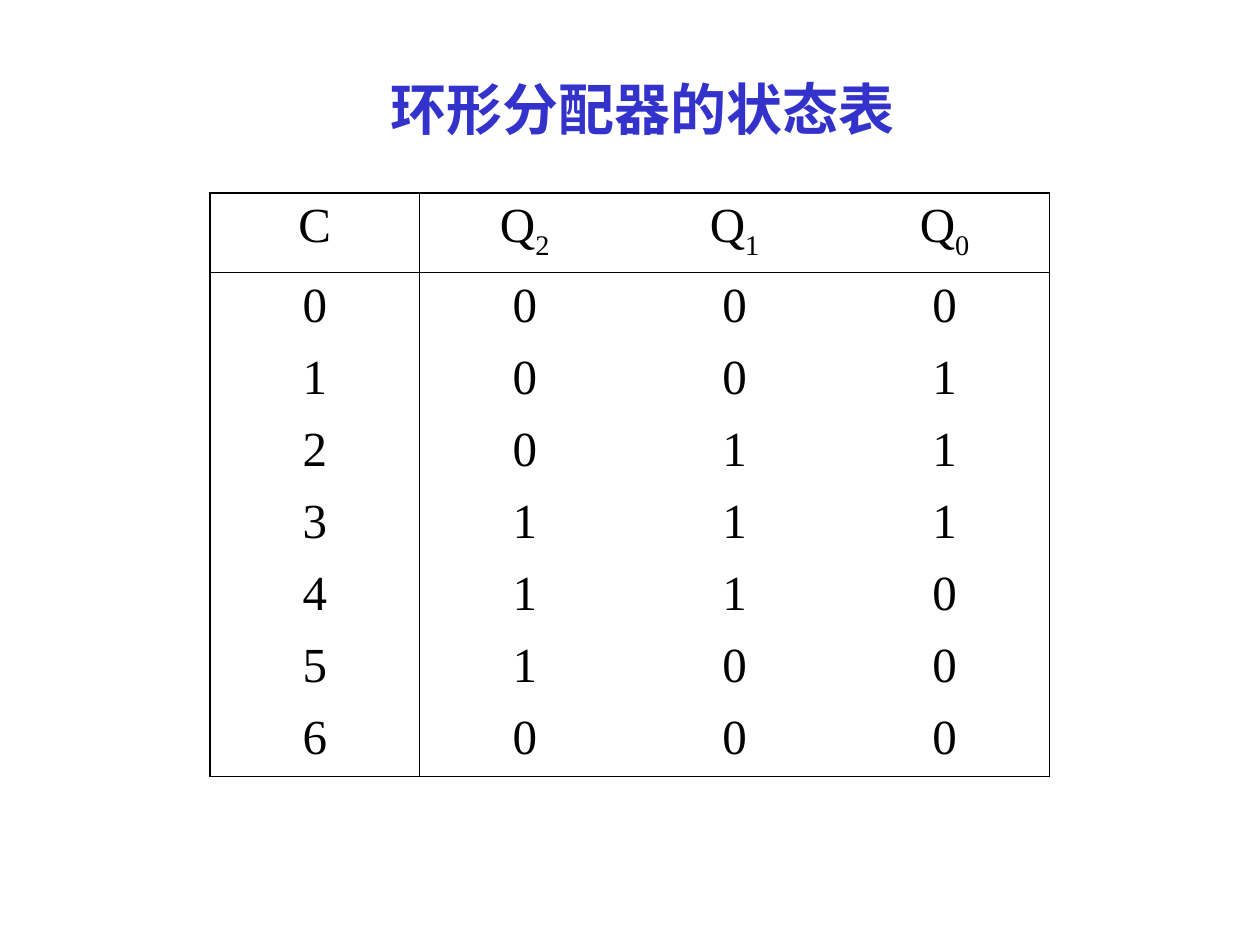
import pptx
import pptx.dml.color
import pptx.enum.text
import pptx.oxml.ns
import pptx.util
from lxml import etree

Cm, Pt = pptx.util.Cm, pptx.util.Pt
BLUE = pptx.dml.color.RGBColor(0x33, 0x33, 0xCC)
BLACK = pptx.dml.color.RGBColor(0, 0, 0)
FONT = "Times New Roman"
OUTER, INNER = Pt(1.08), Pt(0.45)

# Each heading is a letter and its subscript
HEADINGS = [("C", ""), ("Q", "2"), ("Q", "1"), ("Q", "0")]
STATES = ["000", "001", "011", "111", "110", "100", "000"]


def add_run(paragraph, text, size, color, bold=False):
    run = paragraph.add_run()
    run.text = text
    run.font.name = FONT
    run.font.size = Pt(size)
    run.font.bold = bold
    run.font.color.rgb = color
    return run


def set_borders(cell, widths):
    """Draw the left, right, top and bottom edges; None leaves an edge out."""
    properties = cell._tc.get_or_add_tcPr()
    qn = pptx.oxml.ns.qn
    for side, width in zip("LRTB", widths):
        edge = etree.SubElement(properties, qn(f"a:ln{side}"))
        if width is None:
            etree.SubElement(edge, qn("a:noFill"))
        else:
            edge.set("w", str(int(width)))
            fill = etree.SubElement(edge, qn("a:solidFill"))
            etree.SubElement(fill, qn("a:srgbClr"), val=str(BLACK))


def add_title(slide, left, top, width, height):
    title = slide.shapes.add_textbox(left, top, width, height).text_frame
    title.word_wrap = True
    add_run(title.paragraphs[0], "环形分配器的状态表", 32, BLUE, bold=True)


def add_state_table(slide, left, top, width, header_height, row_height):
    rows = [HEADINGS] + [
        [(digit, "") for digit in f"{count}{state}"]
        for count, state in enumerate(STATES)
    ]
    last_row, last_column = len(rows) - 1, len(HEADINGS) - 1
    height = header_height + last_row * row_height
    table = slide.shapes.add_table(
        len(rows), len(HEADINGS), left, top, width, height).table
    table.first_row = table.horz_banding = False

    for r, entries in enumerate(rows):
        table.rows[r].height = row_height if r else header_height
        for c, (letter, subscript) in enumerate(entries):
            cell = table.cell(r, c)
            # Heavy frame, thin rules below the header and after column C
            set_borders(cell, (
                {0: OUTER, 1: INNER}.get(c),
                {0: INNER, last_column: OUTER}.get(c),
                {0: OUTER, 1: INNER}.get(r),
                {0: INNER, last_row: OUTER}.get(r),
            ))
            cell.fill.background()
            paragraph = cell.text_frame.paragraphs[0]
            paragraph.alignment = pptx.enum.text.PP_ALIGN.CENTER
            add_run(paragraph, letter, 28, BLACK)
            if subscript:
                index = add_run(paragraph, subscript, 28, BLACK)
                index.font._element.set("baseline", "-25000")


def main():
    deck = pptx.Presentation()
    deck.slide_width, deck.slide_height = Cm(25.4), Cm(19.05)
    slide = deck.slides.add_slide(deck.slide_layouts[6])
    add_title(slide, Cm(7.62), Cm(1.37), Cm(11), Cm(1.63))
    add_state_table(slide, Cm(4.23), Cm(3.89), Cm(16.93), Cm(1.61), Cm(1.45))
    deck.save("out.pptx")


if __name__ == "__main__":
    main()
